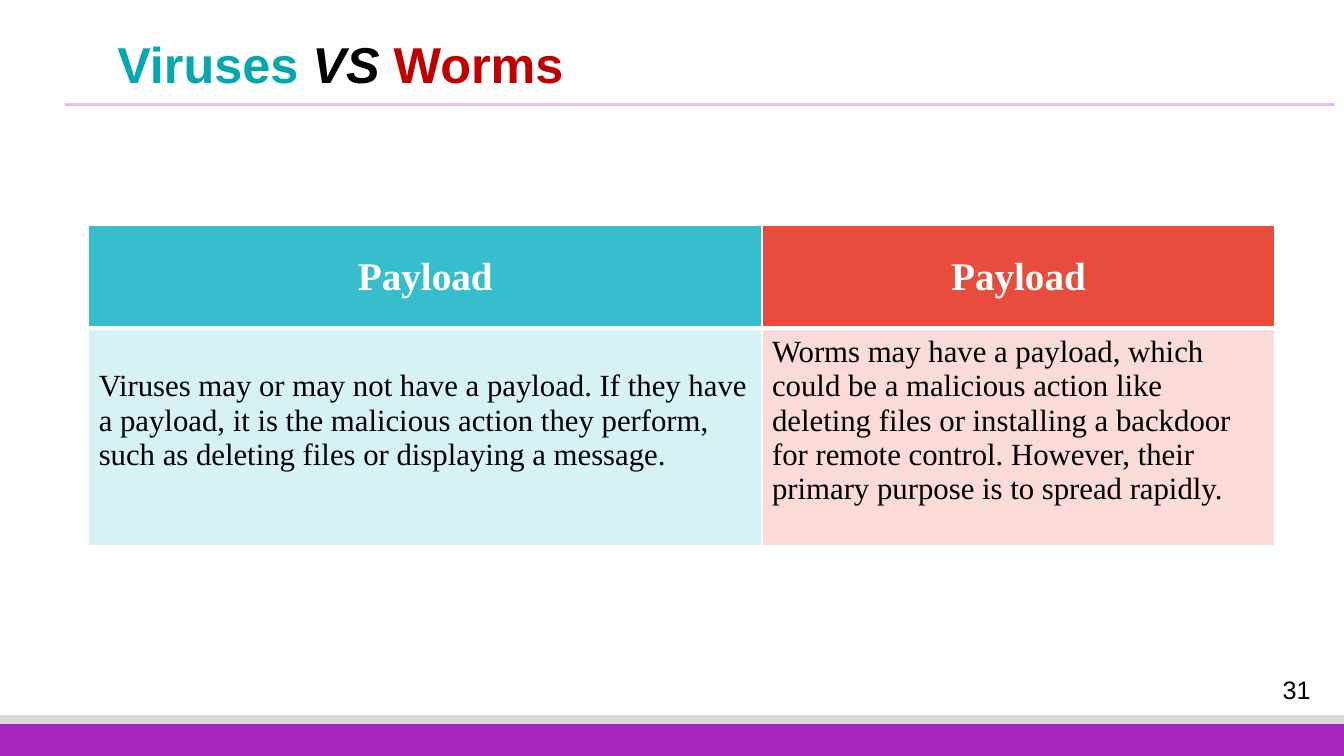
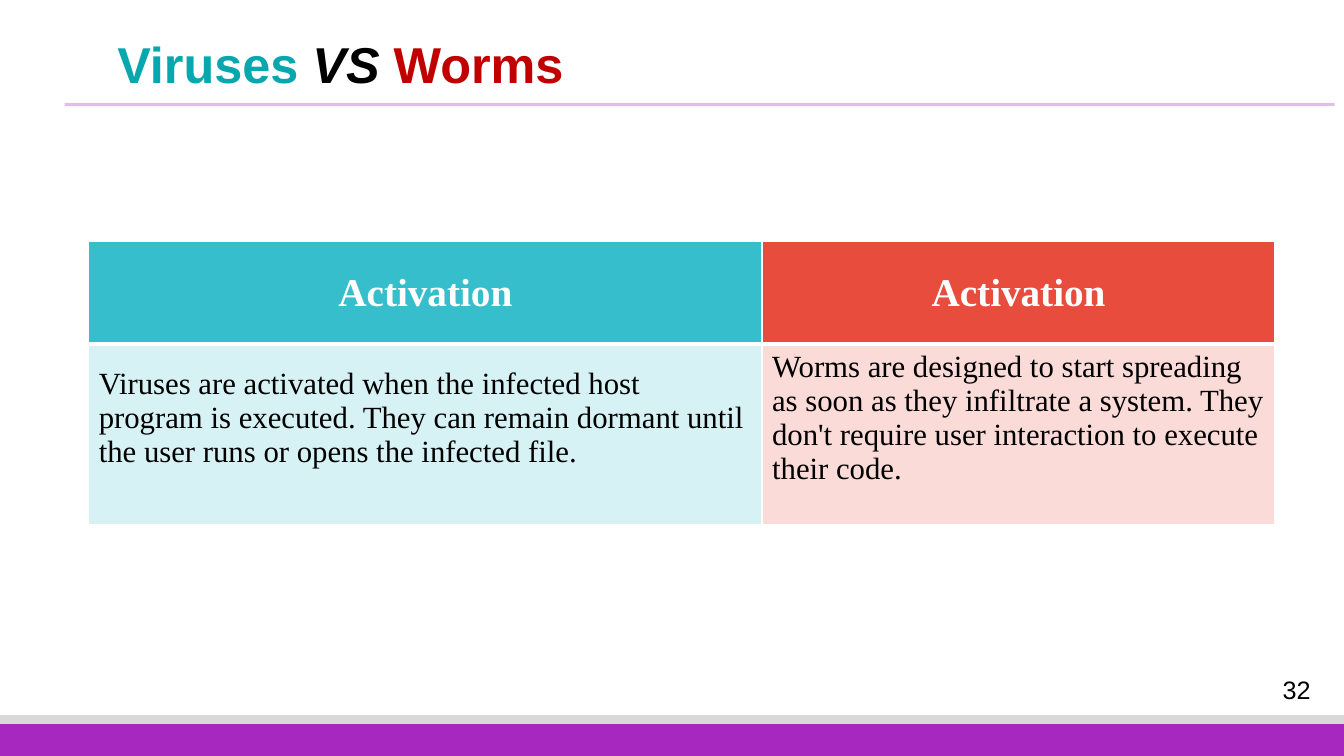
from lxml.etree import SubElement
from pptx import Presentation
from pptx.dml.color import RGBColor
from pptx.enum.shapes import MSO_CONNECTOR, MSO_SHAPE
from pptx.enum.text import MSO_ANCHOR as ANCHOR, PP_ALIGN as ALIGN
from pptx.oxml import parse_xml
from pptx.oxml.ns import nsdecls, qn
from pptx.util import Inches, Pt

# Palette and fonts
WHITE = RGBColor(0xFF, 0xFF, 0xFF)
BLACK = RGBColor(0x00, 0x00, 0x00)
GREY = RGBColor(0xD9, 0xD9, 0xD9)
PURPLE = RGBColor(0xA7, 0x28, 0xBE)
TITLE_TEAL = RGBColor(0x07, 0xA7, 0xAF)
TITLE_RED = RGBColor(0xC0, 0x00, 0x00)
TEAL = RGBColor(0x37, 0xBE, 0xCC)
RED = RGBColor(0xE7, 0x4C, 0x3C)
PALE_TEAL = RGBColor(0xD7, 0xF2, 0xF5)
PALE_RED = RGBColor(0xFA, 0xDB, 0xD8)
SANS, SERIF = "Arial", "Times New Roman"

# Grid of 160 columns by 90 rows, square cells
UNIT = Inches(1) / 12
COLS, ROWS = 160, 90
TABLE_COLS = (80.16, 61.08)
HEADER_ROWS = 12.24


def grid(*lengths):
    return [round(n * UNIT) for n in lengths]


def add_run(p, text, size=18, font=SANS, color=BLACK, bold=False, italic=False):
    r = p.add_run()
    r.text = text
    f = r.font
    f.size, f.name, f.bold, f.italic = Pt(size), font, bold, italic
    f.color.rgb = color


class Deck:
    def __init__(self):
        self.prs = Presentation()
        self.prs.slide_width, self.prs.slide_height = grid(COLS, ROWS)
        self.s = None

    def slide(self, number):
        self.s = self.prs.slides.add_slide(self.prs.slide_layouts[6])
        # Footer bands, rule under the title, page number
        self.band(85.12, GREY)
        self.band(86.22, PURPLE)
        self.rule(7.7, 158.9, 12.45)
        p = self.text(148.9, 79.7, 10.9, 4.7, ANCHOR.MIDDLE)
        p.alignment = ALIGN.CENTER
        add_run(p, str(number))
        # Title
        p = self.text(12.78, 4.2, 136.4, 5.8)
        p.line_spacing = 0.9
        for text, color, italic in (("Viruses ", TITLE_TEAL, False),
                                    ("VS ", BLACK, True),
                                    ("Worms", TITLE_RED, False)):
            add_run(p, text, size=36, color=color, bold=True, italic=italic)

    def band(self, top, color):
        sp = self.s.shapes.add_shape(MSO_SHAPE.RECTANGLE, *grid(0, top, COLS, ROWS - top))
        sp.shadow.inherit = False
        sp.fill.solid()
        sp.fill.fore_color.rgb = color
        sp.line.fill.background()

    def rule(self, left, right, y):
        ln = self.s.shapes.add_connector(MSO_CONNECTOR.STRAIGHT, *grid(left, y, right, y))
        ln.line.color.rgb, ln.line.width = PURPLE, Pt(2.25)
        sp_pr = ln._element.spPr
        color = sp_pr.find(".//" + qn("a:srgbClr"))
        SubElement(color, qn("a:alpha"), val="30000")
        SubElement(sp_pr, qn("a:effectLst"))

    def text(self, x, y, w, h, anchor=ANCHOR.TOP):
        tf = self.s.shapes.add_textbox(*grid(x, y, w, h)).text_frame
        tf.word_wrap, tf.vertical_anchor = True, anchor
        return tf.paragraphs[0]

    def table(self, top, heading, bodies, body_rows):
        heights = (HEADER_ROWS, body_rows)
        box = grid(10.56, top, sum(TABLE_COLS), sum(heights))
        tbl = self.s.shapes.add_table(2, 2, *box).table
        tbl.first_row = tbl.horz_banding = False
        for col, width in zip(tbl.columns, grid(*TABLE_COLS)):
            col.width = width
        for row, height in zip(tbl.rows, grid(*heights)):
            row.height = height
        for c, fill in enumerate((TEAL, RED)):
            p = self.cell(tbl.cell(0, c), fill, L=1, R=1, T=1, B=3)
            p.alignment = ALIGN.CENTER
            add_run(p, heading, size=28, font=SERIF, color=WHITE, bold=True)
        for c, (fill, right) in enumerate(((PALE_TEAL, 0.13), (PALE_RED, 0.1))):
            cell = tbl.cell(1, c)
            cell.margin_top, cell.margin_bottom = 0, Inches(0.32)
            cell.margin_right = Inches(right)
            p = self.cell(cell, fill, L=1, R=1, T=3, B=1)
            add_run(p, bodies[c], size=22, font=SERIF)

    def cell(self, cell, fill, **borders):
        cell.vertical_anchor = ANCHOR.MIDDLE
        cell.fill.solid()
        cell.fill.fore_color.rgb = fill
        tc_pr = cell._tc.get_or_add_tcPr()
        # Borders must come before the fill
        for i, (side, width) in enumerate(borders.items()):
            tc_pr.insert(i, parse_xml(
                f'<a:ln{side} {nsdecls("a")} w="{Pt(width)}"><a:solidFill>'
                f'<a:srgbClr val="{WHITE}"/></a:solidFill></a:ln{side}>'))
        return cell.text_frame.paragraphs[0]


# Page number, table top, heading, virus text, worm text, body height
PAGES = (
    (31, 26.85, "Payload",
     "Viruses may or may not have a payload. If they have a payload, it is the "
     "malicious action they perform, such as deleting files or displaying a message.",
     "Worms may have a payload, which could be a malicious action like deleting "
     "files or installing a backdoor for remote control. However, their primary "
     "purpose is to spread rapidly.", 24),
    (32, 28.75, "Activation",
     "Viruses are activated when the infected host program is executed. They can "
     "remain dormant until the user runs or opens the infected file.",
     "Worms are designed to start spreading as soon as they infiltrate a system. "
     "They don't require user interaction to execute their code.", 20),
)


def main():
    deck = Deck()
    for number, top, heading, virus, worm, body_rows in PAGES:
        deck.slide(number)
        deck.table(top, heading, (virus, worm), body_rows)
    deck.prs.save("out.pptx")


if __name__ == "__main__":
    main()
